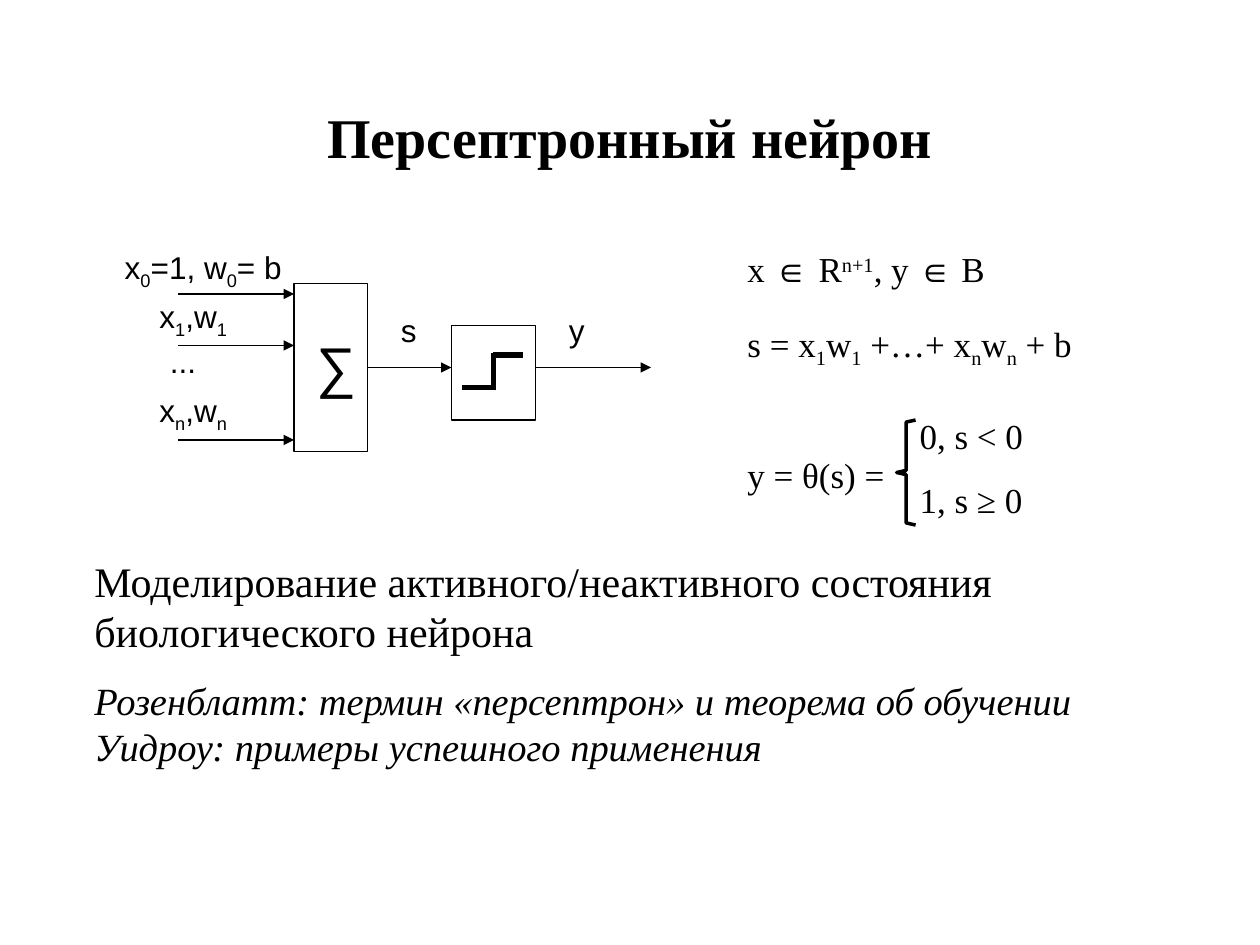
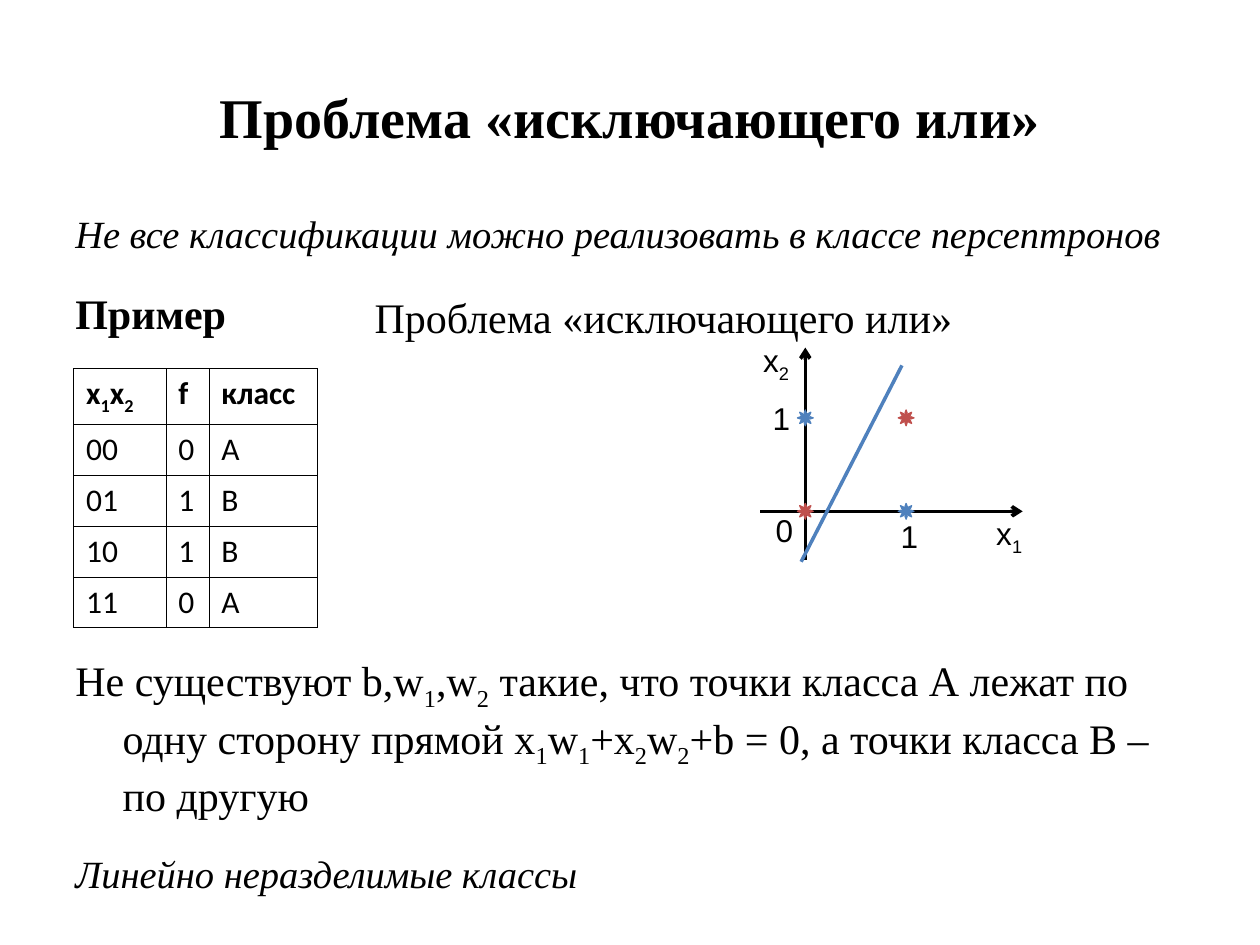
from lxml.etree import SubElement
from pptx import Presentation
from pptx.dml.color import RGBColor
from pptx.enum.shapes import MSO_CONNECTOR, MSO_SHAPE as Shape
from pptx.enum.text import MSO_ANCHOR as Anchor, PP_ALIGN as Align
from pptx.oxml.ns import qn
from pptx.util import Inches, Pt

# Shared look; the slide is a grid of 120 columns by 90 rows
COLUMNS, ROWS = 120, 90
SERIF, SANS, TABLE_FONT = "Times New Roman", "Arial", "Calibri"
BLACK, RED, BLUE = "000000", "C0504D", "4F81BD"
SUBSCRIPT, SUPERSCRIPT = "-25000", "30000"


def grid(units):
    return round(Inches(10) * units / COLUMNS)


def color(value):
    return RGBColor.from_string(value)


def write(paragraph, text, font=SERIF, size=24, bold=False, italic=False,
          before=0, after=0, hanging=0, tab=None, align=Align.LEFT):
    """Parts between bars are subscripts; ^ marks a superscript, @ the sans font."""
    paragraph.alignment = align
    paragraph.space_before, paragraph.space_after = Pt(before), Pt(after)
    properties = paragraph._p.get_or_add_pPr()
    properties.set("marL", str(grid(hanging)))
    properties.set("indent", str(-grid(hanging)))
    if tab:
        stops = SubElement(properties, qn("a:tabLst"))
        SubElement(stops, qn("a:tab"), pos=str(grid(tab)), algn="l")
    for index, part in enumerate(text.split("|")):
        if not part:
            continue
        special = index % 2 == 1
        run = paragraph.add_run()
        run.text = part.lstrip("^@") if special else part
        run.font.name = SANS if special and part[0] == "@" else font
        run.font.size, run.font.bold, run.font.italic = Pt(size), bold, italic
        run.font.color.rgb = color(BLACK)
        if special and part[0] != "@":
            baseline = SUPERSCRIPT if part[0] == "^" else SUBSCRIPT
            run._r.get_or_add_rPr().set("baseline", baseline)


def add_text(slide, box, paragraphs, anchor=Anchor.TOP):
    """Each paragraph is a pair: its text and its format."""
    frame = slide.shapes.add_textbox(*map(grid, box)).text_frame
    frame.word_wrap = True
    frame.vertical_anchor = anchor
    for index, (text, style) in enumerate(paragraphs):
        paragraph = frame.add_paragraph() if index else frame.paragraphs[0]
        write(paragraph, text, **style)


def add_title(slide, box, text):
    style = dict(size=32, bold=True, align=Align.CENTER)
    add_text(slide, box, [(text, style)], Anchor.MIDDLE)


def add_label(slide, box, text, size=18):
    add_text(slide, box, [(text, dict(font=SANS, size=size))])


def add_line(slide, start, end, width=0.75, line_color=BLACK, arrow=None):
    line = slide.shapes.add_connector(
        MSO_CONNECTOR.STRAIGHT, *map(grid, (*start, *end)))
    line.line.width = Pt(width)
    line.line.color.rgb = color(line_color)
    properties = line._element.spPr
    if arrow:
        SubElement(properties.find(qn("a:ln")), qn("a:tailEnd"), type=arrow)
    SubElement(properties, qn("a:effectLst"))


def style_outline(shape, width=0.75, line_color=BLACK, fill=None):
    shape.shadow.inherit = False
    shape.line.width = Pt(width)
    shape.line.color.rgb = color(line_color)
    if fill:
        shape.fill.solid()
        shape.fill.fore_color.rgb = color(fill)
    else:
        shape.fill.background()


def add_block(slide, box):
    style_outline(slide.shapes.add_shape(Shape.RECTANGLE, *map(grid, box)))


def add_star(slide, center, star_color, size=1.5):
    left, top = (value - size / 2 for value in center)
    star = slide.shapes.add_shape(
        Shape.SUN, *map(grid, (left, top, size, size)))
    star.adjustments[0] = 0.25
    style_outline(star, line_color=star_color, fill=star_color)


def add_case_bracket(slide, right, middle, half_height=5):
    upper = [(right, middle - half_height),
             (right - 0.9, middle - half_height + 0.2),
             (right - 0.9, middle - 0.2)]
    lower = [(x, 2 * middle - y) for x, y in reversed(upper)]
    points = [(grid(x), grid(y))
              for x, y in [*upper, (right - 1.8, middle), *lower]]
    builder = slide.shapes.build_freeform(*points[0])
    builder.add_line_segments(points[1:], close=False)
    style_outline(builder.convert_to_shape(), width=2)


def add_border(cell, width=0.45):
    properties = cell._tc.get_or_add_tcPr()
    for side in ("lnL", "lnR", "lnT", "lnB"):
        border = SubElement(properties, qn(f"a:{side}"), w=str(Pt(width)))
        fill = SubElement(border, qn("a:solidFill"))
        SubElement(fill, qn("a:srgbClr"), val=BLACK)


def add_truth_table(slide, left, top, widths, heights, rows):
    frame = slide.shapes.add_table(
        len(rows), len(widths),
        *map(grid, (left, top, sum(widths), sum(heights))))
    table = frame.table
    table.first_row = table.horz_banding = False
    for column, width in zip(table.columns, widths):
        column.width = grid(width)
    for index, (row, height, texts) in enumerate(
            zip(table.rows, heights, rows)):
        row.height = grid(height)
        for cell, text in zip(row.cells, texts):
            add_border(cell)
            cell.fill.background()
            write(cell.text_frame.paragraphs[0], text,
                  font=TABLE_FONT, size=18, bold=index == 0)


def build_neuron_slide(slide):
    add_title(slide, (9, 8, 102, 10), "Персептронный нейрон")

    # Neuron: summation block, threshold block and signals
    axis = 35
    add_block(slide, (28, 27, 7, 16))
    add_block(slide, (43, 31, 8, 9))
    add_label(slide, (29, 31, 7, 7.7), "∑", size=32)
    for start, end in [(35, 43), (51, 62)]:
        add_line(slide, (start, axis), (end, axis), arrow="triangle")
    for row in (28, 32.9, 41.9):
        add_line(slide, (17, row), (28, row), arrow="triangle")
    for left, top, width, text in [
            (10.7, 23, 19.2, "x|0|=1, w|0|= b"), (14, 27.7, 11, "x|1|,w|1|"),
            (15, 32, 8, "..."), (14, 36.7, 11, "x|n|,w|n|"),
            (37, 29, 5, "s"), (53, 29, 6, "y")]:
        add_label(slide, (left, top, width, 5), text)

    # Threshold step
    low, high, edge = 36.9, 33.8, 47
    for start, end in [((44, low), (edge, low)),
                       ((edge, low + 0.2), (edge, high - 0.2)),
                       ((edge, high), (49.8, high))]:
        add_line(slide, start, end, width=3)

    # Formulas
    add_text(slide, (70, 23, 38.3, 25), [
        ("x |@∈ |R|^n+1|, y |@∈| B", dict(size=20, after=6)),
        ("s = x|1|w|1| +…+ x|n|w|n| + b", dict(size=20, before=12.5)),
        ("y = θ(s) =", dict(size=20, before=48))])
    add_text(slide, (86.4, 38.9, 15.6, 17.4), [
        ("0, s < 0", dict(size=20)),
        ("1, s ≥ 0", dict(size=20, before=12.5))])
    add_case_bracket(slide, right=87.2, middle=45)

    # Notes on the model
    history = dict(size=22, italic=True)
    add_text(slide, (7.8, 52.3, 104.2, 21.6), [
        ("Моделирование активного/неактивного состояния "
         "биологического нейрона", dict(after=12)),
        ("Розенблатт: термин «персептрон» и теорема об обучении", history),
        ("Уидроу: примеры успешного применения", history)])


def build_xor_slide(slide):
    add_title(slide, (6, 3.6, 108, 15), "Проблема «исключающего или»")

    # Statement, with room for the table and the plot
    hanging = 4.5
    problem = ("Не существуют b,w|1|,w|2| такие, что точки класса А лежат по "
               "одну сторону прямой x|1|w|1|+x|2|w|2|+b = 0, "
               "а точки класса В – по другую")
    add_text(slide, (6, 19.4, 108, 66.6), [
        ("Не все классификации можно реализовать в классе персептронов",
         dict(size=22, italic=True, after=12, hanging=hanging)),
        ("Пример", dict(bold=True, before=6, tab=28.5)),
        (problem, dict(before=181, after=12, hanging=hanging)),
        ("Линейно неразделимые классы",
         dict(size=22, italic=True, before=5.5, hanging=hanging))])
    add_text(slide, (34.5, 27.2, 60, 6), [("Проблема «исключающего или»", {})])

    # Axes, class points and a trial separating line
    origin_x, origin_y, step_x, step_y = 76.7, 48.7, 9.6, 8.9
    add_line(slide, (origin_x, 53.3), (origin_x, 33.1), 2, arrow="arrow")
    add_line(slide, (72.4, origin_y), (97.4, origin_y), 2, arrow="arrow")
    for left, top, width, text in [
            (93.7, 48.4, 7.3, "x|1|"), (71.5, 31.9, 7.3, "x|2|"),
            (72.4, 37.4, 4.4, "1"), (84.6, 48.7, 4.4, "1"),
            (72.7, 48.1, 4.4, "0")]:
        add_label(slide, (left, top, width, 5), text)
    for x in (0, 1):
        for y in (0, 1):
            center = (origin_x + x * step_x, origin_y - y * step_y)
            add_star(slide, center, RED if x == y else BLUE)
    add_line(slide, (85.9, 34.8), (76.3, 53.5), 2, BLUE)

    # Truth table of exclusive or
    cases = [(f"{x}{y}", str(x ^ y), "AB"[x ^ y])
             for x in (0, 1) for y in (0, 1)]
    add_truth_table(slide, 7, 35.1, (8.8, 4.1, 10.3), (5.3, *[4.85] * 4),
                    [("x|1|x|2|", "f", "класс"), *cases])


def main():
    presentation = Presentation()
    presentation.slide_width = grid(COLUMNS)
    presentation.slide_height = grid(ROWS)
    blank = presentation.slide_layouts[6]
    for build in (build_neuron_slide, build_xor_slide):
        build(presentation.slides.add_slide(blank))
    presentation.save("out.pptx")


if __name__ == "__main__":
    main()
